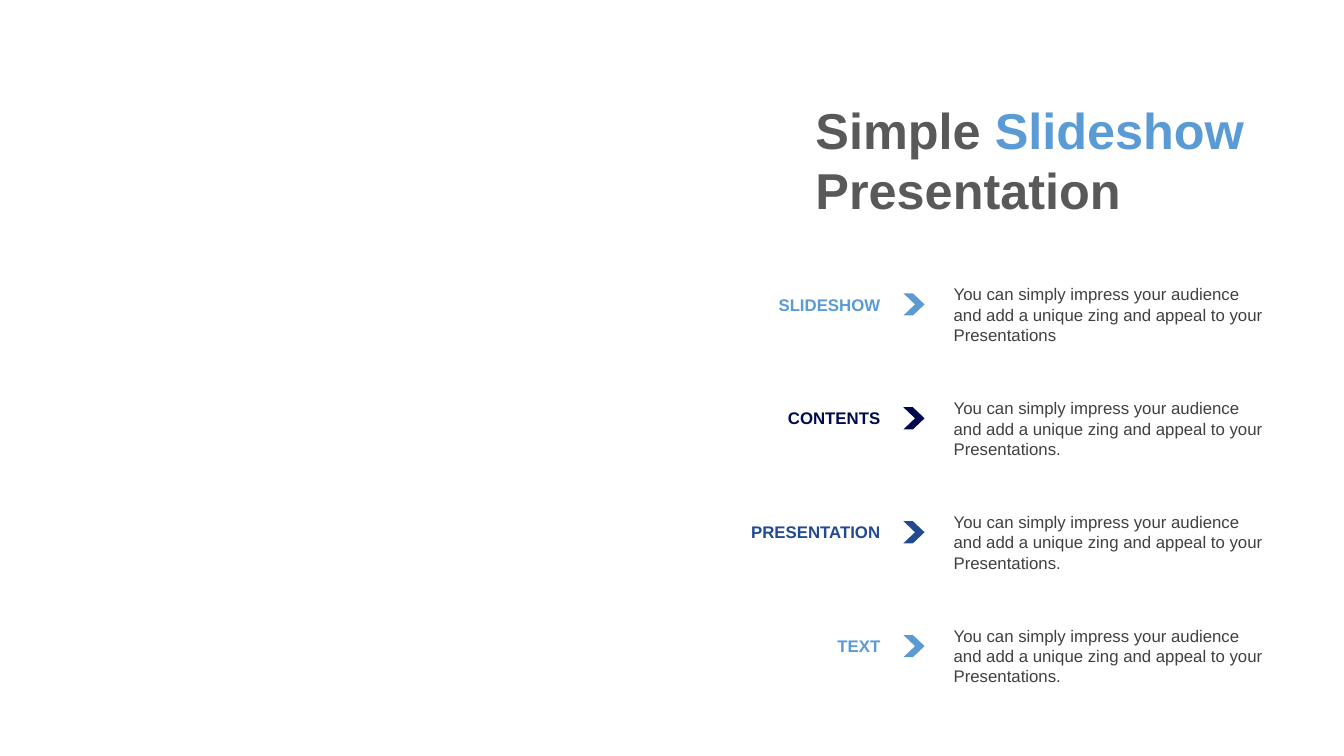
"""Build a contents slide with a title and four labelled chevron rows."""
from dataclasses import dataclass

from pptx import Presentation
from pptx.dml.color import RGBColor
from pptx.enum.shapes import MSO_SHAPE
from pptx.enum.text import MSO_AUTO_SIZE, PP_ALIGN
from pptx.slide import Slide
from pptx.util import Emu, Pt

EMU_PER_PX = 9144
SKY = RGBColor(0x5A, 0x9B, 0xD5)
NAVY = RGBColor(0x01, 0x0A, 0x4F)
ROYAL = RGBColor(0x22, 0x4A, 0x90)
TITLE_GRAY = RGBColor(0x59, 0x59, 0x59)
BODY_GRAY = RGBColor(0x40, 0x40, 0x40)

FIRST_ROW_TOP = 277
ROW_PITCH = 113
BODY = "You can simply impress your audience and add a unique zing and appeal to your Presentations"

TITLE_FORMAT = {"name": "Arial", "size": Pt(36), "bold": True}
LABEL_FORMAT = {"name": "Arial", "size": Pt(12), "bold": True}
BODY_FORMAT = {"name": "Arial", "size": Pt(12), "bold": False}


@dataclass(frozen=True)
class Box:
    """A position and size in px."""

    left: int
    top: int
    width: int
    height: int

    def emu(self) -> tuple[Emu, Emu, Emu, Emu]:
        """Return the four lengths in EMU."""
        return px(self.left), px(self.top), px(self.width), px(self.height)


@dataclass(frozen=True)
class Phrase:
    """A piece of text in one colour."""

    text: str
    color: RGBColor


@dataclass(frozen=True)
class Topic:
    """One row of the contents list."""

    label: str
    color: RGBColor
    body: str


TITLE = [
    Phrase("Simple ", TITLE_GRAY),
    Phrase("Slideshow ", SKY),
    Phrase("Presentation", TITLE_GRAY),
]
TOPICS = [
    Topic("SLIDESHOW", SKY, BODY),
    Topic("CONTENTS", NAVY, BODY + "."),
    Topic("PRESENTATION", ROYAL, BODY + "."),
    Topic("TEXT", SKY, BODY + "."),
]


def px(length: int) -> Emu:
    """Convert px to EMU."""
    return Emu(length * EMU_PER_PX)


def add_text(slide: Slide, box: Box, phrases: list[Phrase], font_format: dict,
             alignment: PP_ALIGN = PP_ALIGN.LEFT) -> None:
    """Add a wrapping text box made of coloured phrases."""
    frame = slide.shapes.add_textbox(*box.emu()).text_frame
    frame.word_wrap = True
    frame.auto_size = MSO_AUTO_SIZE.SHAPE_TO_FIT_TEXT
    paragraph = frame.paragraphs[0]
    paragraph.alignment = alignment
    for phrase in phrases:
        run = paragraph.add_run()
        run.text = phrase.text
        for attribute, value in font_format.items():
            setattr(run.font, attribute, value)
        run.font.color.rgb = phrase.color


def add_chevron(slide: Slide, box: Box, color: RGBColor) -> None:
    """Add a plain chevron without an outline."""
    chevron = slide.shapes.add_shape(MSO_SHAPE.CHEVRON, *box.emu())
    chevron.adjustments[0] = 0.55
    chevron.shadow.inherit = False
    chevron.fill.solid()
    chevron.fill.fore_color.rgb = color
    chevron.line.fill.background()


def add_topic(slide: Slide, topic: Topic, top: int) -> None:
    """Add the label, body text and chevron of one row."""
    add_text(slide, Box(717, top + 10, 166, 30), [Phrase(topic.label, topic.color)],
             LABEL_FORMAT, PP_ALIGN.RIGHT)
    add_text(slide, Box(936, top, 329, 71), [Phrase(topic.body, BODY_GRAY)], BODY_FORMAT)
    add_chevron(slide, Box(896, top + 14, 21, 22), topic.color)


def main() -> None:
    """Build and save the slide."""
    presentation = Presentation()
    presentation.slide_width = px(1333)
    presentation.slide_height = px(750)
    slide = presentation.slides.add_slide(presentation.slide_layouts[6])
    for row, topic in enumerate(TOPICS):
        add_topic(slide, topic, FIRST_ROW_TOP + row * ROW_PITCH)
    add_text(slide, Box(799, 93, 530, 131), TITLE, TITLE_FORMAT)
    presentation.save("out.pptx")


if __name__ == "__main__":
    main()
